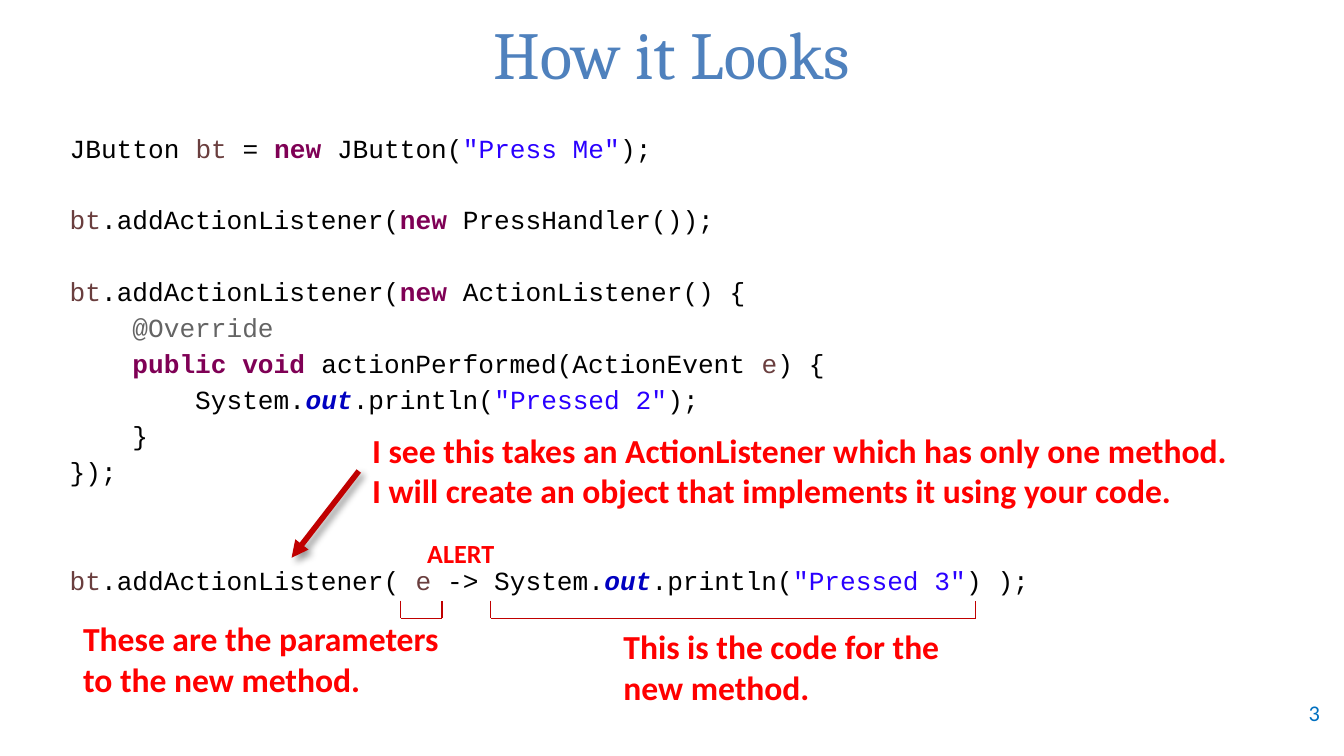
from dataclasses import dataclass

from lxml.etree import SubElement
from pptx import Presentation
from pptx.dml.color import RGBColor
from pptx.enum.shapes import MSO_CONNECTOR
from pptx.enum.text import MSO_ANCHOR, MSO_AUTO_SIZE, PP_ALIGN
from pptx.oxml.ns import qn
from pptx.util import Emu, Pt


@dataclass(frozen=True)
class Theme:
    title_font: str = "Cambria"
    body_font: str = "Calibri"
    code_font: str = "Courier New"
    title: str = "4F81BD"
    number: str = "0070C0"
    note: str = "FF0000"
    mark: str = "C00000"
    shadow: str = "000000"
    title_size: int = 36
    note_size: int = 18
    code_size: int = 14
    number_size: int = 12


THEME = Theme()
PX = 9144  # 100 px to the inch

# Syntax colouring: colour, bold, italic
SYNTAX = {
    "plain": ("000000", False, False),
    "variable": ("6A3E3E", False, False),
    "keyword": ("7F0055", True, False),
    "string": ("2A00FF", False, False),
    "annotation": ("646464", False, False),
    "static": ("0000C0", True, True),
}

# Code lines: points of space before, then (style, text) spans
VARIABLE = ("variable", "bt")
LISTENER_CALL = [VARIABLE, ("plain", ".addActionListener(")]
CODE = [
    (0, [("plain", "JButton "), VARIABLE, ("plain", " = "), ("keyword", "new "),
         ("plain", "JButton("), ("string", '"Press Me"'), ("plain", ");")]),
    (19, LISTENER_CALL + [("keyword", "new "), ("plain", "PressHandler());")]),
    (19, LISTENER_CALL + [("keyword", "new "), ("plain", "ActionListener() {")]),
    (0, [("annotation", "    @Override")]),
    (0, [("keyword", "    public void "), ("plain", "actionPerformed(ActionEvent "),
         ("variable", "e"), ("plain", ") {")]),
    (0, [("plain", "        System."), ("static", "out"), ("plain", ".println("),
         ("string", '"Pressed 2"'), ("plain", ");")]),
    (0, [("plain", "    }")]),
    (0, [("plain", "});")]),
    (39, [VARIABLE, ("plain", ".addActionListener( "), ("variable", "e "),
          ("plain", "-> System."), ("static", "out"), ("plain", ".println("),
          ("string", '"Pressed 3"'), ("plain", ") );")]),
]


def px(value):
    return Emu(value * PX)


def add_span(para, text, font, size, color, bold=False, italic=False):
    span = para.add_run()
    span.text = text
    span.font.name = font
    span.font.size = Pt(size)
    span.font.bold = bold
    span.font.italic = italic
    span.font.color.rgb = RGBColor.from_string(color)


def add_box(page, area, anchor=MSO_ANCHOR.TOP, grow=True):
    box = page.shapes.add_textbox(*map(px, area))
    frame = box.text_frame
    frame.word_wrap = True
    frame.vertical_anchor = anchor
    frame.auto_size = MSO_AUTO_SIZE.SHAPE_TO_FIT_TEXT if grow else MSO_AUTO_SIZE.NONE
    return box


def add_paragraphs(frame, count):
    return [frame.paragraphs[0]] + [frame.add_paragraph() for _ in range(count - 1)]


def add_line(shapes, start, end, width):
    line = shapes.add_connector(MSO_CONNECTOR.STRAIGHT, *map(px, start + end))
    line.line.color.rgb = RGBColor.from_string(THEME.mark)
    line.line.width = Pt(width)
    effects = SubElement(line._element.spPr, qn("a:effectLst"))
    return line, effects


def place_title(page, area, text):
    box = page.shapes.title
    box.left, box.top, box.width, box.height = map(px, area)
    frame = box.text_frame
    frame.auto_size = MSO_AUTO_SIZE.NONE
    frame.vertical_anchor = MSO_ANCHOR.MIDDLE
    para = frame.paragraphs[0]
    para.alignment = PP_ALIGN.CENTER
    add_span(para, text, THEME.title_font, THEME.title_size, THEME.title)


def place_number(page, area, text):
    box = add_box(page, area, MSO_ANCHOR.MIDDLE, grow=False)
    para = box.text_frame.paragraphs[0]
    para.alignment = PP_ALIGN.RIGHT
    add_span(para, text, THEME.body_font, THEME.number_size, THEME.number)


def place_code(page, area, lines):
    box = add_box(page, area)
    paras = add_paragraphs(box.text_frame, len(lines))
    for para, (gap, spans) in zip(paras, lines):
        para.line_spacing = 1.15
        if gap:
            para.space_before = Pt(gap)
        for style, text in spans:
            add_span(para, text, THEME.code_font, THEME.code_size, *SYNTAX[style])


def place_note(page, area, lines, size=THEME.note_size):
    box = add_box(page, area)
    for para, text in zip(add_paragraphs(box.text_frame, len(lines)), lines):
        add_span(para, text, THEME.body_font, size, THEME.note, bold=True)
    return box


def place_arrow(page, note, start, end):
    arrow, effects = add_line(page.shapes, start, end, 3)
    arrow.begin_connect(note, 1)
    SubElement(arrow.line._get_or_add_ln(), qn("a:tailEnd"), type="triangle")
    # Soft shadow down and to the right
    shadow = SubElement(effects, qn("a:outerShdw"), blurRad=str(Pt(4)), dist=str(Pt(3)),
                        dir="2700000", algn="tl", rotWithShape="0")
    color = SubElement(shadow, qn("a:srgbClr"), val=THEME.shadow)
    SubElement(color, qn("a:alpha"), val="40000")


def place_bracket(page, area):
    left, top, width, height = area
    right, bottom = left + width, top + height
    group = page.shapes.add_group_shape()
    corners = [(left, top), (left, bottom), (right, bottom), (right, top)]
    for start, end in zip(corners, corners[1:]):
        add_line(group.shapes, start, end, 0.75)


def build_page(deck):
    page = deck.slides.add_slide(deck.slide_layouts[5])
    place_title(page, (8, 6, 983, 67), "How it Looks")
    place_number(page, (925, 515, 67, 30), "3")
    place_code(page, (42, 90, 825, 362), CODE)

    # What the compiler works out
    note = place_note(page, (267, 315, 683, 71), [
        "I see this takes an ActionListener which has only one method.",
        "I will create an object that implements it using your code.",
    ])
    place_arrow(page, note, (267, 350), (217, 415))
    place_note(page, (308, 395, 108, 34), ["ALERT"], THEME.code_size)

    # Parts of the lambda
    place_bracket(page, (298, 447, 31, 13))
    place_bracket(page, (365, 447, 361, 13))
    place_note(page, (52, 455, 305, 71), ["These are the parameters to the new method."])
    place_note(page, (454, 461, 305, 71), ["This is the code for the new method."])


def main():
    deck = Presentation()
    # Widescreen, 16 to 9
    deck.slide_width = px(1000)
    deck.slide_height = Emu(deck.slide_width * 9 // 16)
    build_page(deck)
    deck.save("out.pptx")


if __name__ == "__main__":
    main()
